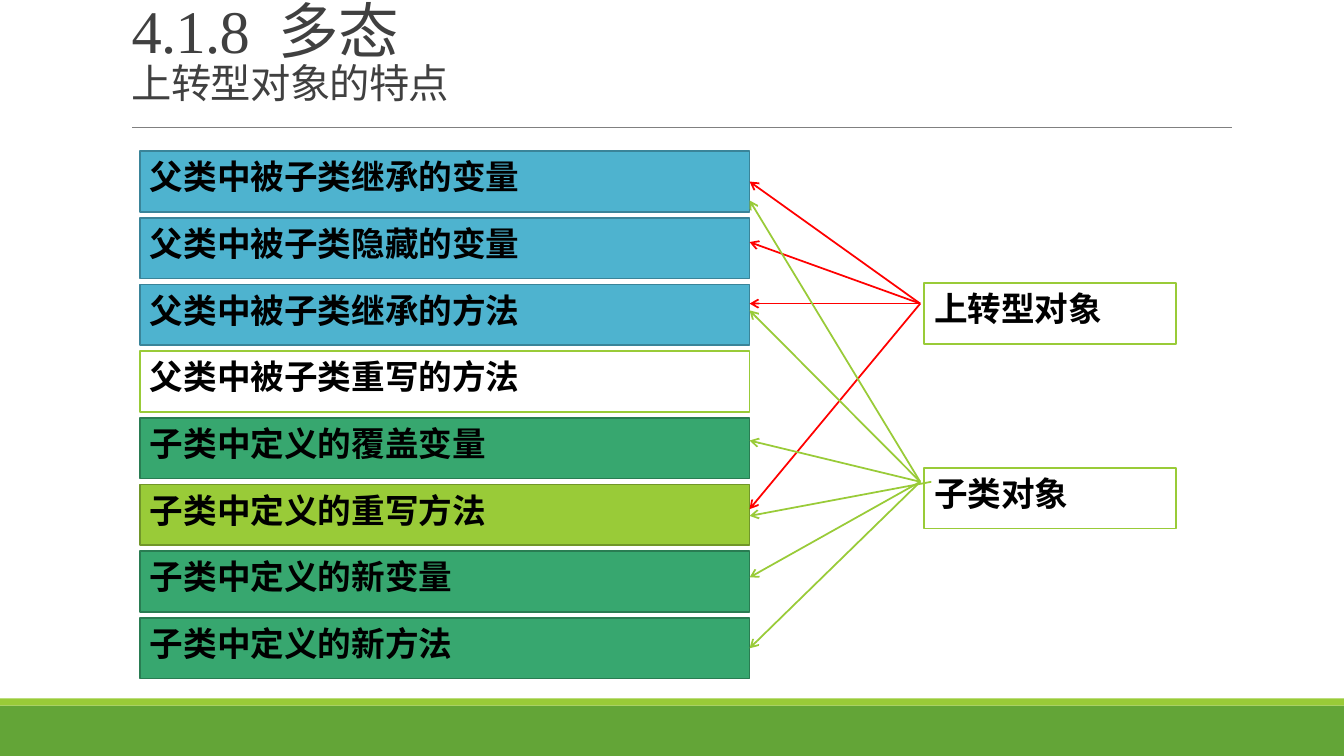
import pptx
import pptx.dml.color
import pptx.enum.shapes
import pptx.enum.text
import pptx.oxml.ns
import pptx.util
from lxml import etree

Cm = pptx.util.Cm
Pt = pptx.util.Pt
RECTANGLE = pptx.enum.shapes.MSO_SHAPE.RECTANGLE
STRAIGHT = pptx.enum.shapes.MSO_CONNECTOR.STRAIGHT
ANCHOR = pptx.enum.text.MSO_ANCHOR


def color(code):
    return pptx.dml.color.RGBColor.from_string(code)


def add_text(para, text, size, font, code="000000", bold=False, spacing=0):
    """Add a run; spacing is the extra width of each character in points."""
    span = para.add_run()
    span.text = text
    span.font.size = Pt(size)
    span.font.name = font
    span.font.bold = bold
    span.font.color.rgb = color(code)
    if spacing:
        span.font._element.set("spc", str(int(spacing * 100)))


deck = pptx.Presentation()
deck.slide_width = Cm(33.87)
deck.slide_height = Cm(19.05)
page = deck.slides.add_slide(deck.slide_layouts[6])

# Footer bands
for top, height, fill in [(17.78, 1.27, "63A537"), (17.6, 0.18, "99CB38")]:
    band = page.shapes.add_shape(RECTANGLE, 0, Cm(top), deck.slide_width, Cm(height))
    band.shadow.inherit = False
    band.fill.solid()
    band.fill.fore_color.rgb = color(fill)
    band.line.fill.background()

# Title
title = page.shapes.add_textbox(Cm(3.07), Cm(0.25), Cm(27.94), Cm(2.57))
title.text_frame.word_wrap = True
title.text_frame.vertical_anchor = ANCHOR.BOTTOM
para = title.text_frame.paragraphs[0]
para.line_spacing = 0.85
add_text(para, "4.1.8", 43.2, "Times New Roman", "404040", spacing=-0.5)
add_text(para, " ", 43.2, "Times New Roman", "404040", spacing=10)
add_text(para, "多态", 43.2, "Times New Roman", "404040", spacing=-0.5)
para.add_line_break()
add_text(para, "上转型对象的特点", 28.8, "Times New Roman", "404040", spacing=-0.5)

# Class members on the left, objects on the right
member_left, member_width, first_top, pitch = 3.53, 15.36, 3.81, 1.68
blue = ("4EB3CF", "3A8499")
white = ("FFFFFF", "99CB38")
green = ("37A76F", "297C52")
lime = ("99CB38", "719629")
members = [
    ("父类中被子类继承的变量", blue),
    ("父类中被子类隐藏的变量", blue),
    ("父类中被子类继承的方法", blue),
    ("父类中被子类重写的方法", white),
    ("子类中定义的覆盖变量", green),
    ("子类中定义的重写方法", lime),
    ("子类中定义的新变量", green),
    ("子类中定义的新方法", green),
]
boxes = [
    (text, member_left, first_top + row * pitch, member_width, style)
    for row, (text, style) in enumerate(members)
]
boxes += [
    ("上转型对象", 23.29, 7.14, 6.35, white),
    ("子类对象", 23.29, 11.79, 6.35, white),
]
drawn_boxes = []
for text, left, top, width, (fill, outline) in boxes:
    box = page.shapes.add_shape(RECTANGLE, Cm(left), Cm(top), Cm(width), Cm(1.53))
    box.shadow.inherit = False
    box.fill.solid()
    box.fill.fore_color.rgb = color(fill)
    box.line.color.rgb = color(outline)
    box.line.width = Pt(1.25)
    box.text_frame.word_wrap = True
    box.text_frame.vertical_anchor = ANCHOR.TOP
    para = box.text_frame.paragraphs[0]
    para.alignment = pptx.enum.text.PP_ALIGN.LEFT
    add_text(para, text, 24, "Arial", bold=True)
    drawn_boxes.append(box)

# Lines: start x, start y, end x, end y, colour, width, arrowhead, joined box
member_right = member_left + member_width
red, light_green = "FF0000", "99CB38"
lines = [(3.33, 3.2, 31.04, 3.2, "808080", 0.5, False, None)]
for end_y, joined in [(4.55, 0), (6.1, None), (7.65, None), (12.83, None)]:
    lines.append((23.19, 7.65, member_right, end_y, red, 1.25, True, joined))
for start_x, end_y, joined in [
    (23.19, 5.05, None),
    (23.19, 7.82, None),
    (23.19, 11.1, None),
    (23.47, 13.0, None),
    (23.19, 14.55, None),
    (23.19, 16.28, 7),
]:
    lines.append((start_x, 12.14, member_right, end_y, light_green, 1.25, True, joined))

for start_x, start_y, end_x, end_y, code, width, arrow, joined in lines:
    line = page.shapes.add_connector(
        STRAIGHT, Cm(start_x), Cm(start_y), Cm(end_x), Cm(end_y)
    )
    line.line.color.rgb = color(code)
    line.line.width = Pt(width)
    if joined is not None:
        line.end_connect(drawn_boxes[joined], 3)
    if arrow:
        outline = line.line._get_or_add_ln()
        etree.SubElement(outline, pptx.oxml.ns.qn("a:tailEnd"), type="arrow")
    etree.SubElement(line._element.spPr, pptx.oxml.ns.qn("a:effectLst"))

deck.save("out.pptx")
